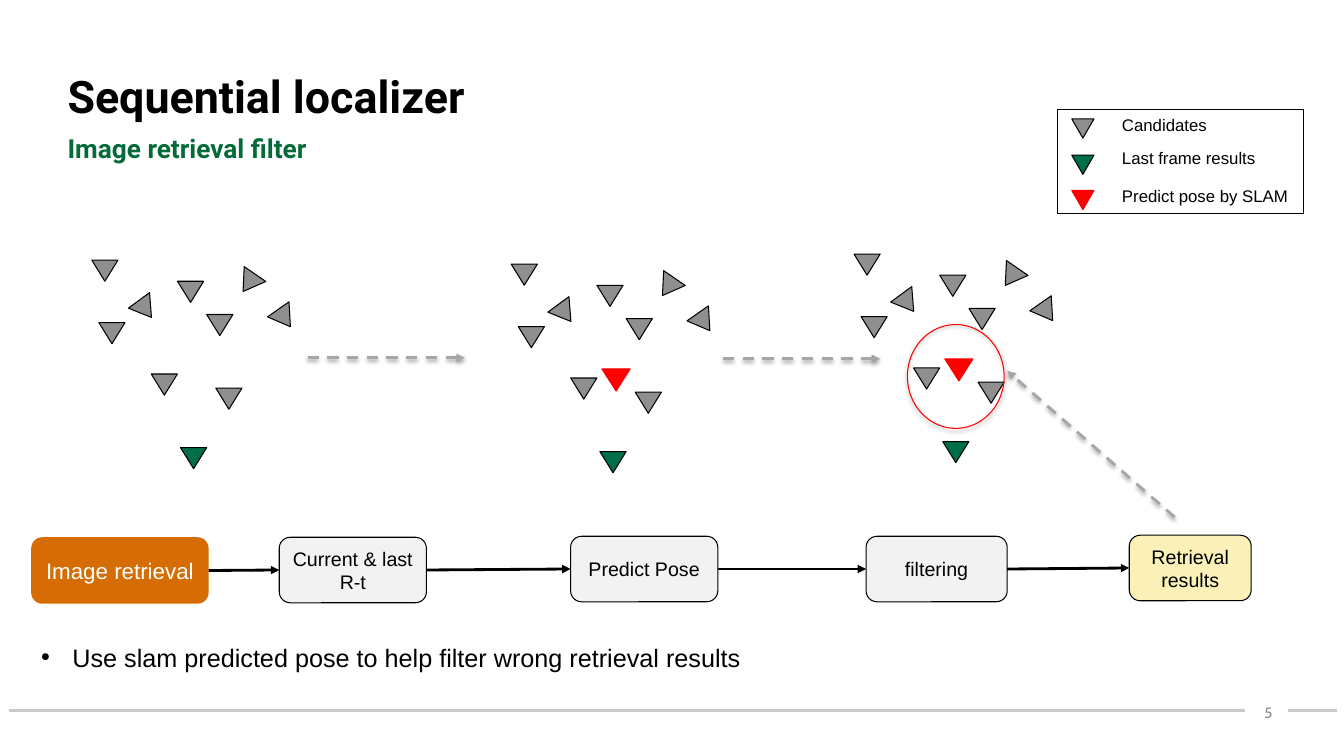
from lxml import etree
from pptx import Presentation
from pptx import util as u
from pptx.dml.color import RGBColor
from pptx.enum import dml, shapes, text
from pptx.oxml.ns import qn

PX = 9144  # EMU per px, 100 px to the inch

COLORS = {
    "black": "000000", "white": "FFFFFF", "heading": "046A38",
    "candidate": "8F8F8F", "last": "006E47", "predicted": "FF0000",
    "rule": "CACAC8", "number": "8C8C8C", "dash": "A6A6A6",
    "orange": "D66D04", "step": "F2F2F2", "yellow": "FBF1B8",
}

# Camera poses of one scene: x and y from the scene's origin, rotation, kind
POSES = [
    (59, 113, 180, "candidate"), (40, 38, 143.7, "candidate"),
    (85, 21, 180, "candidate"), (178, 47, 145, "candidate"),
    (123, 127, 180, "candidate"), (0, 0, 180, "candidate"),
    (143, 12, 214.5, "candidate"), (88, 186, 180, "last"),
    (114, 54, 180, "candidate"), (7, 62, 180, "candidate"),
]
SCENES = [(91, 258, False), (507, 262, True), (847, 252, True)]

LEGEND = [
    ("candidate", 118, "Candidates", 109),
    ("last", 154, "Last frame results", 142),
    ("predicted", 189, "Predict pose by SLAM", 179),
]

# Left, top, width, height, fill, outline, font size, lines of text
STEPS = [
    (31, 533, 176, 66, "orange", None, 16, ["Image retrieval"]),
    (277, 533, 146, 65, "step", "black", 14, ["Current & last", "R-t"]),
    (566, 532, 146, 65, "step", "black", 14, ["Predict Pose"]),
    (859, 532, 140, 65, "step", "black", 14, ["filtering"]),
    (1120, 531, 121, 65, "yellow", "black", 14, ["Retrieval results"]),
]

DASHED_ARROWS = [(305, 355, 461, 355), (717, 356, 873, 356),
                 (1165, 513, 999, 368)]


def px(*lengths):
    return [round(length * PX) for length in lengths]


def rgb(color):
    return RGBColor.from_string(COLORS[color])


def set_font(paragraph, size, color, name="Arial", bold=False):
    font = paragraph.font
    font.size, font.name, font.bold = u.Pt(size), name, bold
    font.color.rgb = rgb(color)


def add_effects(item, shadow):
    """Give an item a soft shadow below it, or explicitly none."""
    effects = etree.SubElement(item._element.spPr, qn("a:effectLst"))
    if shadow:
        outer = etree.SubElement(
            effects, qn("a:outerShdw"), blurRad=str(u.Pt(3.1)),
            dist=str(u.Pt(1.6)), dir="5400000", rotWithShape="0")
        black = etree.SubElement(outer, qn("a:srgbClr"), val=COLORS["black"])
        etree.SubElement(black, qn("a:alpha"), val="38000")


def add_box(parent, kind, frame, fill=None, line="black", rotation=0):
    shape = parent.add_shape(kind, *px(*frame))
    shape.shadow.inherit = False
    shape.rotation = rotation
    if fill:
        shape.fill.solid()
        shape.fill.fore_color.rgb = rgb(fill)
    else:
        shape.fill.background()
    if line:
        shape.line.color.rgb = rgb(line)
        shape.line.width = u.Pt(0.75)
    else:
        shape.line.fill.background()
    return shape


def add_pose(parent, x, y, width, height, kind, rotation=180):
    line = "predicted" if kind == "predicted" else "black"
    add_box(parent, shapes.MSO_SHAPE.ISOSCELES_TRIANGLE,
            (x, y, width, height), kind, line, rotation)


def add_text(parent, frame, words, size, color, name="Arial", bold=False,
             insets=(10, 5, 10, 5), anchor=text.MSO_ANCHOR.TOP,
             align=text.PP_ALIGN.LEFT, bullet=False):
    text_frame = parent.add_textbox(*px(*frame)).text_frame
    text_frame.word_wrap = True
    text_frame.vertical_anchor = anchor
    (text_frame.margin_left, text_frame.margin_top,
     text_frame.margin_right, text_frame.margin_bottom) = px(*insets)
    paragraph = text_frame.paragraphs[0]
    paragraph.text = words
    paragraph.alignment = align
    if bullet:
        properties = paragraph._p.get_or_add_pPr()
        indent = px(31)[0]
        properties.set("marL", str(indent))
        properties.set("indent", str(-indent))
        etree.SubElement(properties, qn("a:buFont"), typeface="Arial")
        etree.SubElement(properties, qn("a:buChar"), char="•")
    set_font(paragraph, size, color, name, bold)


def add_line(slide, ends, color, arrow=True, dashed=False):
    line = slide.shapes.add_connector(
        shapes.MSO_CONNECTOR.STRAIGHT, *px(*ends))
    line.line.color.rgb = rgb(color)
    line.line.width = u.Pt(2)
    if dashed:
        line.line.dash_style = dml.MSO_LINE.DASH
    if arrow:
        etree.SubElement(line.line._get_or_add_ln(), qn("a:tailEnd"),
                         type="triangle")
    add_effects(line, shadow=dashed)
    return line


def add_step(slide, x, y, width, height, fill, line, size, lines):
    step = add_box(slide.shapes, shapes.MSO_SHAPE.ROUNDED_RECTANGLE,
                   (x, y, width, height), fill, line)
    text_frame = step.text_frame
    text_frame.word_wrap = True
    text_frame.vertical_anchor = text.MSO_ANCHOR.MIDDLE
    text_frame.text = "\n".join(lines)
    for paragraph in text_frame.paragraphs:
        paragraph.alignment = text.PP_ALIGN.CENTER
        set_font(paragraph, size, "black" if line else "white")
    return step


def add_legend(slide):
    group = slide.shapes.add_group_shape().shapes
    for kind, pose_y, label, label_y in LEGEND:
        add_pose(group, 1063, pose_y, 22, 19, kind)
        add_text(group, (1103, label_y, 220, 31), label, 12, "black")
    add_box(group, shapes.MSO_SHAPE.RECTANGLE, (1049, 109, 244, 103))


def add_scene(slide, left, top, predicted):
    group = slide.shapes.add_group_shape().shapes
    if predicted:
        add_pose(group, left + 90, top + 104, 28, 22, "predicted")
    for x, y, rotation, kind in POSES:
        add_pose(group, left + x, top + y, 26, 21, kind, rotation)


def main():
    presentation = Presentation()
    presentation.slide_width, presentation.slide_height = px(1333, 750)
    slide = presentation.slides.add_slide(presentation.slide_layouts[6])

    # Footer rule and slide number
    for start, end in [(9, 1235), (1277, 1326)]:
        add_line(slide, (start, 705, end, 705), "rule", arrow=False)
    add_text(slide.shapes, (1144, 693, 118, 28), "5", 10.7, "number", "Cabin",
             insets=(10, 5, 0, 5), align=text.PP_ALIGN.RIGHT)

    # Headings
    add_text(slide.shapes, (67, 126, 1200, 57), "Image retrieval filter",
             18.7, "heading", "Roboto", True, insets=(0, 5, 10, 5))
    add_text(slide.shapes, (67, 62, 1200, 66), "Sequential localizer",
             32, "black", "Roboto", True, insets=(0, 0, 10, 0),
             anchor=text.MSO_ANCHOR.MIDDLE)

    # Legend and the three scenes
    add_legend(slide)
    for scene in SCENES:
        add_scene(slide, *scene)

    # Search area and dashed arrows
    search_area = add_box(slide.shapes, shapes.MSO_SHAPE.OVAL,
                          (900, 322, 96, 103), line="predicted")
    search_area._element.spPr.remove(
        search_area._element.spPr.find(qn("a:effectLst")))
    add_effects(search_area, shadow=True)
    for ends in DASHED_ARROWS:
        add_line(slide, ends, "dash", dashed=True)

    # Pipeline
    steps = [add_step(slide, *step) for step in STEPS]
    for before, after in zip(steps, steps[1:]):
        arrow = add_line(slide, (0, 0, 0, 0), "black")
        arrow.begin_connect(before, 3)
        arrow.end_connect(after, 1)

    # Takeaway
    add_text(slide.shapes, (31, 632, 721, 40),
             "Use slam predicted pose to help filter wrong retrieval results",
             18, "black", bullet=True)

    presentation.save("out.pptx")


if __name__ == "__main__":
    main()
